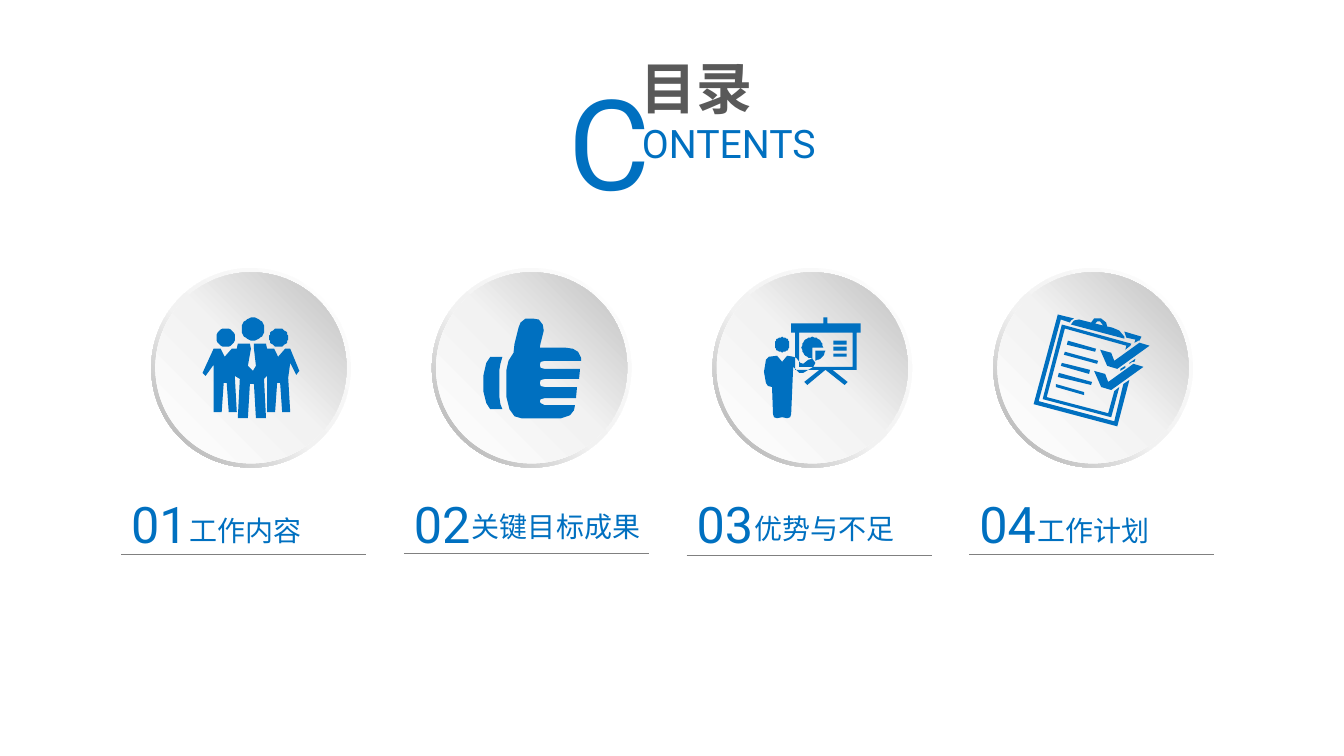
from copy import deepcopy
from math import cos, radians, sin

from pptx import Presentation
from pptx.dml.color import RGBColor
from pptx.enum import shapes, text
from pptx.oxml.ns import qn
from pptx.util import Pt

BLUE = RGBColor(0x00, 0x70, 0xC0)
DARK = RGBColor(0x59, 0x59, 0x59)
RULE = RGBColor(0x80, 0x80, 0x80)
WHITE = RGBColor(0xFF, 0xFF, 0xFF)
PALE = RGBColor(0xF2, 0xF2, 0xF2)
SILVER = RGBColor(0xBF, 0xBF, 0xBF)
STEEL = RGBColor(0xA6, 0xA6, 0xA6)
FONT = "Roboto"

DISC_X, DISC_Y, DISC_GAP = 108, 191.5, 200.5
LABEL_X, LABEL_GAP = 86.5, 202
UNIT = 0.72  # points in one step of the icon grid

# label, its top, and the height of the rule below it
LABELS = [("工作内容", 363, 396), ("关键目标成果", 360.5, 395),
          ("优势与不足", 362, 397), ("工作计划", 363.5, 396)]


def pair(*flat):
    return list(zip(flat[::2], flat[1::2]))


def arc(x, y, r, start=0, end=360):
    """Points on a circle, in degrees clockwise from the right."""
    return [(x + r * cos(radians(a)), y + r * sin(radians(a)))
            for a in range(start, end + 1, 10)]


def bar(x, y, w, h):
    return pair(x, y, x + w, y, x + w, y + h, x, y + h)


def move(points, dx, dy):
    return [(x + dx, y + dy) for x, y in points]


TEAM = [
    arc(101, 60.5, 11.2), arc(126.5, 69, 9.3), arc(74, 69, 9.3),
    pair(83, 107, 85, 143, 77, 143, 75, 114, 72, 114, 70, 143, 62, 143,
         62, 96, 54, 107, 51, 104, 62, 80, 69, 80, 73, 88, 80, 80, 85, 80,
         86, 75, 98, 75, 99, 80, 96, 97, 101, 102, 104, 97, 102, 80, 102, 75,
         114, 75, 115, 80, 122, 80, 126, 88, 133, 80, 138, 80, 147, 102,
         144, 106, 138, 94, 136, 109, 138, 143, 130, 143, 128, 114, 125, 114,
         123, 143, 115, 143, 115, 107, 112, 110, 114, 149, 104, 149, 102, 115,
         98, 115, 96, 149, 86, 149, 88, 110),
]
THUMB = [
    pair(67, 101, 68, 95, 70, 88, 58, 88, 54, 94, 51, 107, 51, 122, 54, 134,
         58, 140, 70, 140, 68, 135, 67, 128),
    pair(81, 84, 76, 92, 74, 101, 74, 128, 77, 140, 82, 147, 89, 149,
         128, 149, 137, 146, 141, 141, 142, 136, 112, 136, 108, 134, 107, 132,
         108, 130, 112, 129, 143, 129, 144, 118, 112, 118, 108, 117, 107, 114,
         108, 111, 112, 110, 146, 110, 147, 100, 112, 100, 108, 99, 107, 96,
         108, 93, 112, 92, 148, 92, 148, 89, 145, 83, 140, 80, 133, 79,
         107, 79, 108, 74, 111, 62, 110, 56, 106, 51, 100, 50, 93, 50,
         88, 54, 86, 59, 82, 75),
]
TALK = [
    pair(114, 55, 114, 49, 110, 49, 110, 55, 78, 55, 78, 64, 82, 64, 82, 101,
         106, 101, 91, 113, 94, 116, 112, 101, 131, 116, 134, 113, 119, 101,
         143, 101, 143, 64, 147, 64, 147, 55),
    bar(86, 64, 53, 34),
    [(99, 79)] + arc(99, 79, 10.5, 90, 360),
    [(102, 82)] + arc(102, 82, 9.5, 0, 90),
    *[bar(120, y, 13, 3.5) for y in (72, 78.5, 85)],
    arc(69, 76, 7.5),
    pair(78, 145, 77, 148, 74, 149, 69, 148, 64, 149, 61, 148, 60, 145,
         59, 118, 55, 117, 53, 114, 51, 103, 53, 91, 56, 88, 64, 87, 69, 93,
         74, 87, 80, 88, 83, 89, 87, 94, 90, 95, 95, 91, 99, 90, 102, 94,
         100, 98, 95, 101, 90, 104, 86, 104, 82, 100, 80, 98),
]
TICK = pair(155, 77, 123, 100, 113, 97, 106, 81, 117, 84, 120, 92, 145, 74)
LIST = [
    pair(65, 104, 98, 113, 97, 116, 64, 108),
    pair(104, 92, 71, 83, 70, 86, 103, 95),
    pair(102, 80, 74, 72, 73, 76, 101, 83),
    pair(62, 118, 90, 126, 90, 123, 62, 115),
    pair(96, 101, 68, 94, 67, 97, 95, 105),
    pair(120, 152, 45, 132, 67, 51, 76, 54, 77, 52, 80, 50, 64, 46,
         40, 135, 123, 157, 135, 111, 129, 115),
    pair(114, 144, 53, 128, 71, 60, 132, 77, 131, 81, 136, 77, 137, 75,
         68, 56, 49, 130, 117, 148, 125, 118, 120, 122),
    pair(77, 56, 80, 52, 85, 51, 97, 54, 100, 50, 107, 50, 112, 54,
         113, 58, 118, 59, 125, 62, 130, 68, 130, 70),
    pair(101, 55, 109, 57, 106, 53, 103, 53),
    pair(131, 97, 126, 100, 126, 102, 131, 99),
    pair(135, 95, 138, 93, 140, 93, 141, 90, 135, 94),
    pair(144, 72, 145, 72, 147, 68, 130, 63, 132, 69, 141, 71, 140, 74),
    TICK, move(TICK, -6, 21),
]
ICONS = [TEAM, THUMB, TALK, LIST]


def style(frame, size, color, bold=False):
    font = frame.paragraphs[0].runs[0].font
    font.name, font.size, font.bold = FONT, Pt(size), bold
    font.color.rgb = color


def place(shape, x, y, w, h):
    shape.left, shape.top, shape.width, shape.height = map(Pt, (x, y, w, h))


def write(slide, words, x, y, w, h, size, wrap=True):
    frame = slide.shapes.add_textbox(Pt(x), Pt(y), Pt(w), Pt(h)).text_frame
    frame.word_wrap = wrap
    frame.auto_size = text.MSO_AUTO_SIZE.SHAPE_TO_FIT_TEXT
    frame.text = words
    style(frame, size, BLUE)
    return frame


def head(slide):
    title = slide.shapes.title
    place(title, 450.5, 34.5, 95, 55.5)
    frame = title.text_frame
    frame.text = "目录"
    frame.word_wrap = False
    frame.vertical_anchor = text.MSO_ANCHOR.TOP
    frame.paragraphs[0].alignment = text.PP_ALIGN.LEFT
    style(frame, 40, DARK, True)

    cap = write(slide, "C", 406, -8, 55, 143, 90)
    cap.margin_left = cap.margin_right = cap.margin_top = cap.margin_bottom = 0
    cap.paragraphs[0].line_spacing = 1.5
    cap.paragraphs[0].alignment = text.PP_ALIGN.JUSTIFY
    write(slide, "ONTENTS", 451.5, 82, 150, 41, 28, False)


def shade(shape, mid, end, angle):
    """Fill with white, pale grey at mid, then the end colour."""
    shape.shadow.inherit = False
    shape.line.fill.background()
    shape.fill.gradient()
    first = shape.element.find(".//" + qn("a:gs"))
    first.addnext(deepcopy(first))
    for stop, spot, color in zip(shape.fill.gradient_stops,
                                 (0, mid, 1), (WHITE, PALE, end)):
        stop.position = spot
        stop.color.rgb = color
    shape.fill.gradient_angle = angle


def disc(slide, x, y):
    kind = shapes.MSO_SHAPE
    ring = slide.shapes.add_shape(kind.DONUT, Pt(x), Pt(y), Pt(142.5), Pt(142.5))
    ring.adjustments[0] = 0.05
    shade(ring, 0.55, STEEL, 225)
    face = slide.shapes.add_shape(
        kind.OVAL, Pt(x + 3), Pt(y + 3), Pt(136.5), Pt(136.5))
    shade(face, 0.51, SILVER, 45)


def icon(slide, paths, x, y):
    pen = slide.shapes.build_freeform(*paths[0][0], scale=Pt(UNIT))
    for points in paths:
        pen.move_to(*points[0])
        pen.add_line_segments(points[1:], close=True)
    shape = pen.convert_to_shape(Pt(x), Pt(y))
    shape.shadow.inherit = False
    shape.fill.solid()
    shape.fill.fore_color.rgb = BLUE
    shape.line.fill.background()


def rule(slide, x, y, w):
    line = slide.shapes.add_connector(
        shapes.MSO_CONNECTOR.STRAIGHT, Pt(x), Pt(y), Pt(x + w), Pt(y))
    line.line.color.rgb = RULE
    line.line.width = Pt(0.5)
    props = line.element.spPr
    props.append(props.makeelement(qn("a:effectLst"), {}))


def main():
    deck = Presentation()
    deck.slide_width, deck.slide_height = Pt(960), Pt(540)
    slide = deck.slides.add_slide(deck.slide_layouts[5])
    head(slide)
    for i, (paths, (label, top, base)) in enumerate(zip(ICONS, LABELS)):
        x = DISC_X + i * DISC_GAP
        disc(slide, x, DISC_Y)
        icon(slide, paths, x, DISC_Y)
        x = LABEL_X + i * LABEL_GAP
        write(slide, label, x + 41.5, top, 140, 31.5, 20)
        rule(slide, x, base, 175)
        write(slide, f"{i + 1:02}", x, 348.5, 63, 51, 36)
    deck.save("out.pptx")


if __name__ == "__main__":
    main()
